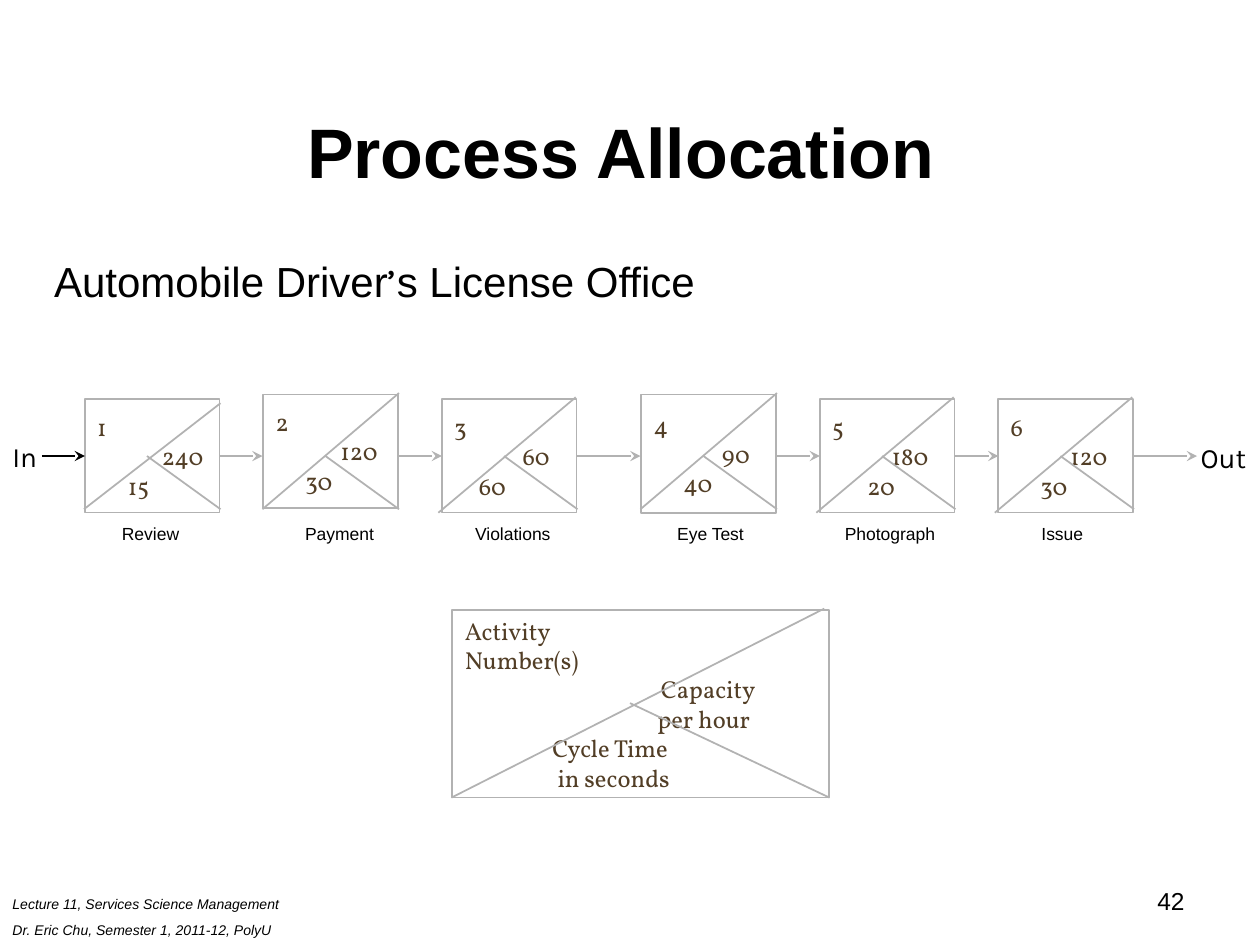
from dataclasses import dataclass

from lxml import etree
from pptx import Presentation
from pptx.dml import color
from pptx.enum import shapes, text
from pptx.oxml import ns
from pptx.util import Pt

GREY, BLACK, BROWN = "B2B2B2", "000000", "523E26"
FLOW_Y = 260.6
STATION_WIDTH = 77


@dataclass
class Station:
    number: str
    name: str
    slot: float
    capacity: str
    capacity_indent: float
    cycle: str
    cycle_indent: float
    label_center: float
    top: float = 228.2
    height: float = 64.8
    diagonal: tuple = (-1.5, 293, 77, 227)


STATIONS = [
    Station("1", "Review", 48, "240", 37, "15", 17.5, 86,
            diagonal=(0, 291, 78, 230.4)),
    Station("2", "Payment", 150, "120", 37, "30", 17, 194, top=225.4,
            diagonal=(0, 291, 78, 224.6)),
    Station("3", "Violations", 252, "60", 39, "60", 14, 293),
    Station("4", "Eye Test", 366, "90", 39, "40", 17, 406, top=225.4, height=67.7,
            diagonal=(0, 291, 78, 224.6)),
    Station("5", "Photograph", 468, "180", 34, "20", 20, 508.5),
    Station("6", "Issue", 570, "120", 34, "30", 17, 607),
]

LEGEND_LINES = [("Activity", 0), ("Number(s)", 0), ("Capacity", 112),
                ("per hour", 110), ("Cycle Time", 50), ("in seconds", 53)]


def rgb(value: str) -> color.RGBColor:
    return color.RGBColor.from_string(value)


def style(paragraph, size: float, font: str, hue: str = BLACK,
          bold: bool = False, italic: bool = False) -> None:
    for run in paragraph.runs:
        run.font.size = Pt(size)
        run.font.name = font
        run.font.color.rgb = rgb(hue)
        run.font.bold = bold
        run.font.italic = italic


def add_label(slide, box: tuple, words: str, size: float, font: str = "Arial",
              align=text.PP_ALIGN.LEFT, wrap: bool = True, italic: bool = False):
    label = slide.shapes.add_textbox(*map(Pt, box))
    frame = label.text_frame
    frame.word_wrap = wrap
    frame.text = words
    for paragraph in frame.paragraphs:
        paragraph.alignment = align
        style(paragraph, size, font, italic=italic)
    return label


def add_box(slide, box: tuple, lines: list):
    rectangle = slide.shapes.add_shape(shapes.MSO_SHAPE.RECTANGLE, *map(Pt, box))
    rectangle.shadow.inherit = False
    rectangle.fill.background()
    rectangle.line.color.rgb = rgb(GREY)
    rectangle.line.width = Pt(1)
    frame = rectangle.text_frame
    frame.vertical_anchor = text.MSO_ANCHOR.MIDDLE
    frame.text = "\n".join(words for words, _ in lines)
    for paragraph, (_, indent) in zip(frame.paragraphs, lines):
        paragraph.alignment = text.PP_ALIGN.LEFT
        paragraph._p.get_or_add_pPr().set("marL", str(Pt(indent)))
        style(paragraph, 14, "Vollkorn", BROWN)
    return rectangle


def add_line(slide, ends: tuple, hue: str = GREY, arrow: bool = False):
    line = slide.shapes.add_connector(shapes.MSO_CONNECTOR.STRAIGHT, *map(Pt, ends))
    line.line.color.rgb = rgb(hue)
    line.line.width = Pt(1)
    if arrow:
        etree.SubElement(line.line._get_or_add_ln(), ns.qn("a:tailEnd"), type="stealth")
    etree.SubElement(line._element.spPr, ns.qn("a:effectLst"))
    return line


def add_station(slide, station: Station):
    slot = station.slot
    box = add_box(slide, (slot + 0.5, station.top, STATION_WIDTH, station.height),
                  [(station.number, 0), (station.capacity, station.capacity_indent),
                   (station.cycle, station.cycle_indent)])
    x1, y1, x2, y2 = station.diagonal
    add_line(slide, (slot + x1, y1, slot + x2, y2))
    add_line(slide, (slot + 36, FLOW_Y, slot + 78, 291))
    add_label(slide, (station.label_center - 45, 295.3, 90, 20), station.name, 10,
              align=text.PP_ALIGN.CENTER)
    return box


def meets_flow(box) -> bool:
    return abs(box.top + box.height / 2 - Pt(FLOW_Y)) < Pt(1)


def add_flow(slide, boxes: list) -> None:
    starts = [24] + [station.slot + 78 for station in STATIONS]
    stops = [station.slot for station in STATIONS] + [684]
    sources, targets = [None] + boxes, boxes + [None]
    for start, stop, source, target in zip(starts, stops, sources, targets):
        hue = GREY if source else BLACK
        arrow = add_line(slide, (start, FLOW_Y, stop, FLOW_Y), hue, arrow=True)
        if source and meets_flow(source):
            arrow.begin_connect(source, 3)
        if target and meets_flow(target):
            arrow.end_connect(target, 1)


def add_title(slide) -> None:
    title = slide.shapes.title
    title.left, title.top, title.width, title.height = map(Pt, (36, 23.8, 648, 90))
    frame = title.text_frame
    frame.text = "Process Allocation"
    frame.auto_size = text.MSO_AUTO_SIZE.NONE
    frame.vertical_anchor = text.MSO_ANCHOR.BOTTOM
    frame.margin_right = Pt(18)
    frame.paragraphs[0].alignment = text.PP_ALIGN.CENTER
    style(frame.paragraphs[0], 40, "Arial", bold=True)


def add_heading(slide) -> None:
    heading = add_label(slide, (23.8, 142.6, 660, 40), "Automobile Driver", 24)
    paragraph = heading.text_frame.paragraphs[0]
    for words in ("’", "s License Office"):
        paragraph.add_run().text = words
    style(paragraph, 24, "Arial")
    paragraph.runs[1].font.name = "Karla"


def main() -> None:
    deck = Presentation()
    deck.slide_width, deck.slide_height = Pt(720), Pt(540)
    slide = deck.slides.add_slide(deck.slide_layouts[5])
    add_title(slide)
    add_heading(slide)

    boxes = [add_station(slide, station) for station in STATIONS]
    add_flow(slide, boxes)
    add_label(slide, (0, 247.7, 29.5, 26.6), "In", 16, "Karla", wrap=False)
    add_label(slide, (679, 248.4, 42.5, 26.6), "Out", 16, "Karla", wrap=False)

    add_box(slide, (258.5, 348.5, 215.3, 107.3), LEGEND_LINES)
    add_line(slide, (258, 455.8, 471, 347.8))
    add_line(slide, (360, 401.8, 474, 455.8))

    footer = add_label(slide, (0, 508.3, 202.3, 31.7),
                       "Lecture 11, Services Science Management\n"
                       "Dr. Eric Chu, Semester 1, 2011-12, PolyU", 8, italic=True)
    footer.text_frame.paragraphs[1].space_before = Pt(5)
    add_label(slide, (516, 502.6, 168, 37.4), "42", 14, align=text.PP_ALIGN.RIGHT)
    deck.save("out.pptx")


if __name__ == "__main__":
    main()
